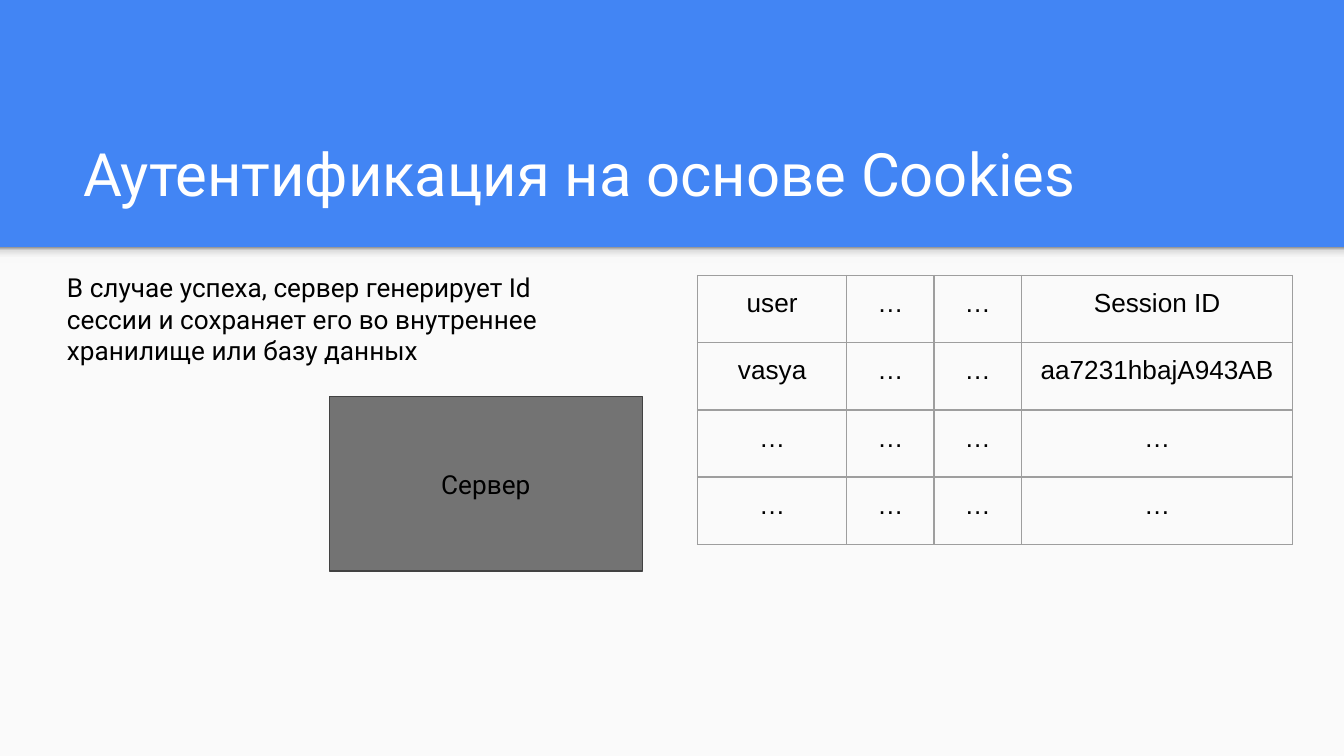
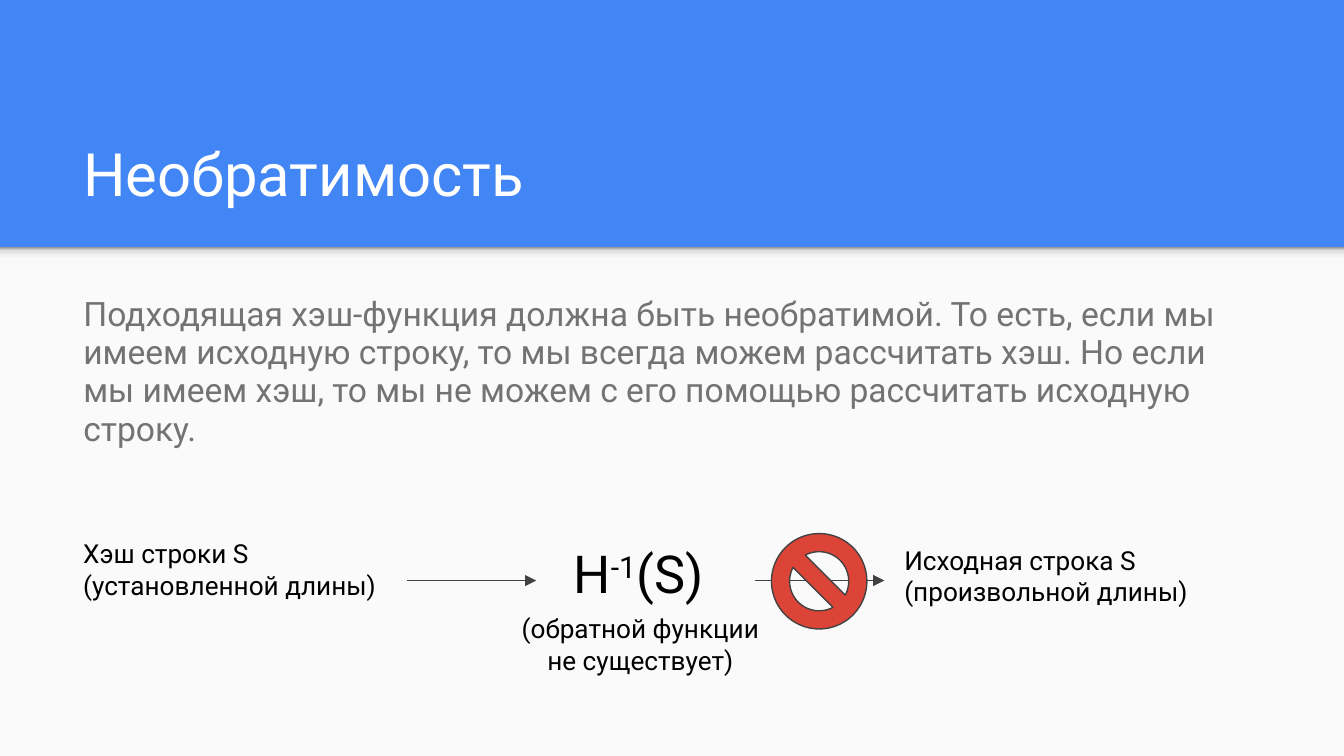
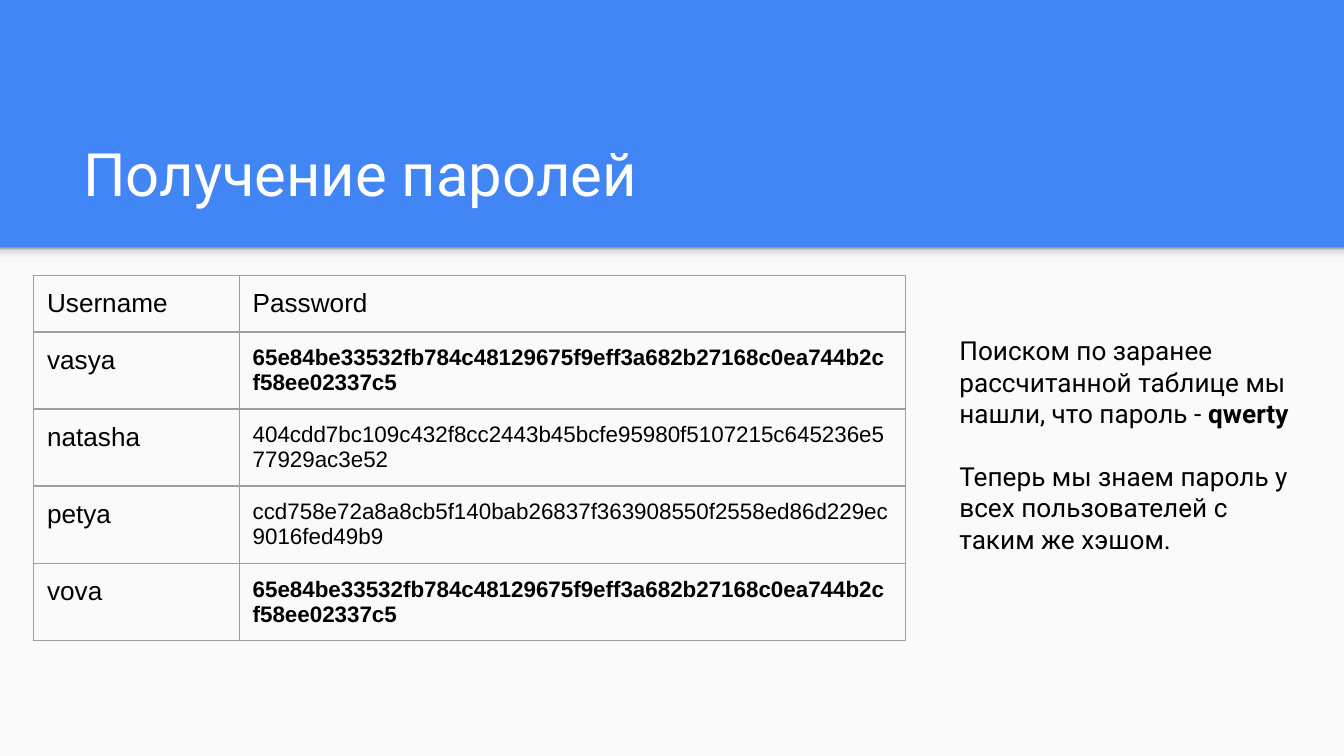
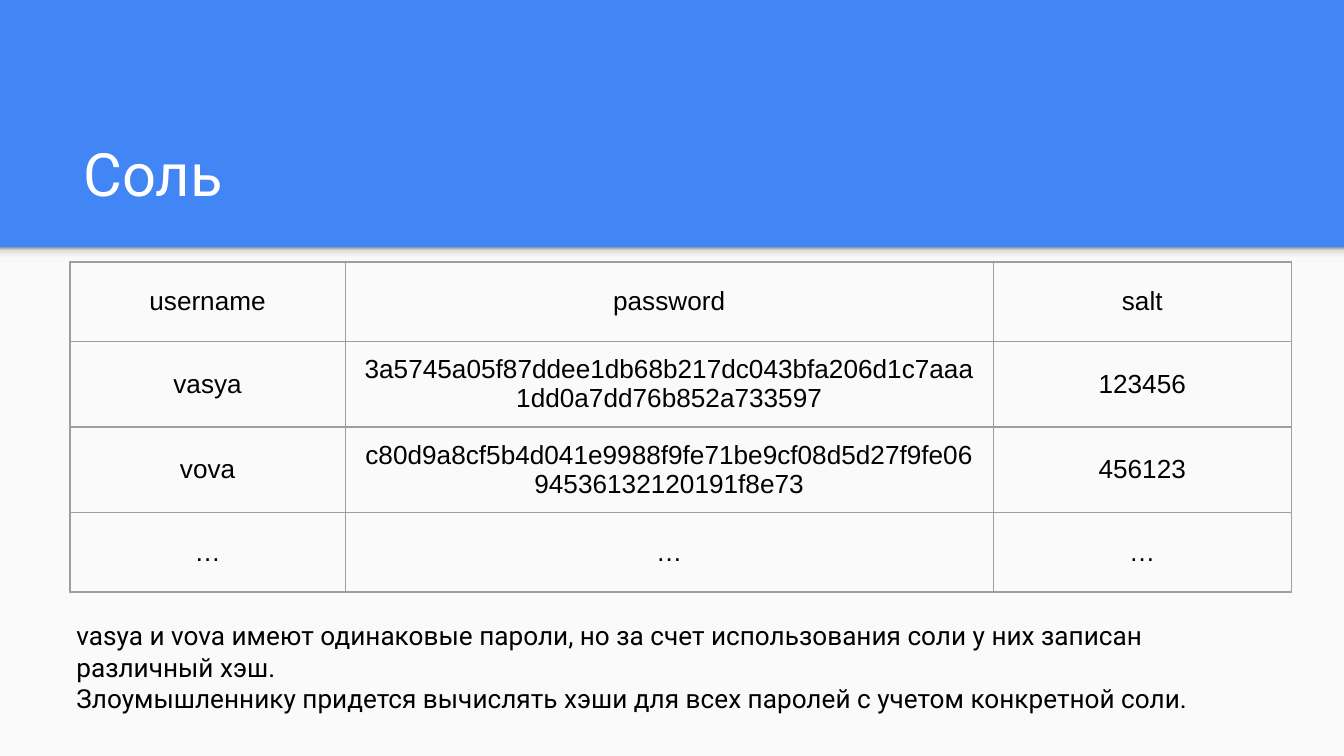
import pptx
import pptx.util
import pptx.dml.color
import pptx.enum.dml
import pptx.enum.shapes
import pptx.enum.text
import pptx.oxml
import pptx.oxml.ns
from lxml import etree

Inches, Pt = pptx.util.Inches, pptx.util.Pt
SHAPE = pptx.enum.shapes.MSO_SHAPE
ALIGN = pptx.enum.text.PP_ALIGN
ANCHOR = pptx.enum.text.MSO_ANCHOR
qn = pptx.oxml.ns.qn

COLORS = {
    "blue": "4285F4", "paper": "FAFAFA", "white": "FFFFFF", "black": "000000",
    "gray": "737373", "line": "424242", "border": "9E9E9E", "red": "DB4437",
}
BAND_SHADOW = [(0, "F9F9F9"), (36, "F9F9F9"), (80, "DEDEDE"), (100, "999999")]
SLIDE_WIDTH = 10
SLIDE_HEIGHT = SLIDE_WIDTH * 9 / 16
BAND_BOTTOM = 1.84
TITLE_BOX = (0.52, 0.81, 8.99, 0.84)

LEAKED_HASH = "65e84be33532fb784c48129675f9eff3a682b27168c0ea744b2cf58ee02337c5"

COOKIES = {
    "title": "Аутентификация на основе Cookies",
    "text": ["В случае успеха, сервер генерирует Id сессии и сохраняет его "
             "во внутреннее хранилище или базу данных"],
    "server": "Сервер",
    "rows": [
        ("user", "…", "…", "Session ID"),
        ("vasya", "…", "…", "aa7231hbajA943AB"),
        ("…", "…", "…", "…"),
        ("…", "…", "…", "…"),
    ],
}
ONE_WAY = {
    "title": "Необратимость",
    "body": "Подходящая хэш-функция должна быть необратимой. То есть, если мы имеем "
            "исходную строку, то мы всегда можем рассчитать хэш. Но если мы имеем хэш, "
            "то мы не можем с его помощью рассчитать исходную строку.",
    "hash": ["Хэш строки S", "(установленной длины)"],
    "inverse": ("H", "-1", "(S)"),
    "source": ["Исходная строка S", "(произвольной длины)"],
    "remark": ["(обратной функции", "не существует)"],
}
PASSWORDS = {
    "title": "Получение паролей",
    "rows": [
        ("Username", "Password"),
        ("vasya", LEAKED_HASH),
        ("natasha", "404cdd7bc109c432f8cc2443b45bcfe95980f5107215c645236e577929ac3e52"),
        ("petya", "ccd758e72a8a8cb5f140bab26837f363908550f2558ed86d229ec9016fed49b9"),
        ("vova", LEAKED_HASH),
    ],
    "text": ["Поиском по заранее рассчитанной таблице мы нашли, что пароль - ",
             "Теперь мы знаем пароль у всех пользователей с таким же хэшом."],
    "found": "qwerty",
}
SALT = {
    "title": "Соль",
    "rows": [
        ("username", "password", "salt"),
        ("vasya", "3a5745a05f87ddee1db68b217dc043bfa206d1c7aaa1dd0a7dd76b852a733597", "123456"),
        ("vova", "c80d9a8cf5b4d041e9988f9fe71be9cf08d5d27f9fe0694536132120191f8e73", "456123"),
        ("…", "…", "…"),
    ],
    "text": ["vasya и vova имеют одинаковые пароли, но за счет использования соли "
             "у них записан различный хэш.",
             "Злоумышленнику придется вычислять хэши для всех паролей с учетом "
             "конкретной соли."],
}


def rgb(name):
    return pptx.dml.color.RGBColor.from_string(COLORS[name])


def inches(box):
    return [Inches(v) for v in box]


def set_font(p, size=14, color="black", name="Roboto", bold=False):
    p.font.size, p.font.name, p.font.bold = Pt(size), name, bold
    p.font.color.rgb = rgb(color)


def set_frame(tf, anchor=ANCHOR.TOP):
    tf.word_wrap = True
    tf.auto_size = pptx.enum.text.MSO_AUTO_SIZE.NONE
    tf.vertical_anchor = anchor
    tf.margin_left = tf.margin_right = tf.margin_top = tf.margin_bottom = Inches(0.1)


def add_text(s, box, lines, size=14, align=ALIGN.LEFT):
    sp = s.shapes.add_textbox(*inches(box))
    tf = sp.text_frame
    set_frame(tf)
    tf.text = "\n".join(lines)
    for p in tf.paragraphs:
        p.alignment = align
        set_font(p, size)
    return sp


def add_shape(s, kind, box, fill, line=None):
    sp = s.shapes.add_shape(kind, *inches(box))
    sp.shadow.inherit = False
    sp.fill.solid()
    sp.fill.fore_color.rgb = rgb(fill)
    if line:
        sp.line.color.rgb = rgb(line)
        sp.line.width = Pt(0.75)
    else:
        sp.line.fill.background()
    return sp


def add_arrow(s, x, y, length):
    cn = s.shapes.add_connector(pptx.enum.shapes.MSO_CONNECTOR.STRAIGHT,
                                *inches((x, y, x + length, y)))
    cn.line.color.rgb = rgb("line")
    cn.line.width = Pt(0.75)
    etree.SubElement(cn.line._get_or_add_ln(), qn("a:tailEnd"), type="triangle")
    etree.SubElement(cn.element.spPr, qn("a:effectLst"))
    return cn


def set_borders(cell):
    tc_pr = cell._tc.get_or_add_tcPr()
    for side in ("lnL", "lnR", "lnT", "lnB"):
        ln = etree.SubElement(tc_pr, qn("a:" + side), w=str(Pt(0.75)))
        fill = etree.SubElement(ln, qn("a:solidFill"))
        etree.SubElement(fill, qn("a:srgbClr"), val=COLORS["border"])


def add_table(s, left, top, widths, row_height, rows, align=ALIGN.CENTER,
              anchor=ANCHOR.TOP, hash_size=14):
    box = (left, top, sum(widths), row_height * len(rows))
    table = s.shapes.add_table(len(rows), len(widths), *inches(box)).table
    table.first_row = table.horz_banding = False
    for column, width in zip(table.columns, widths):
        column.width = Inches(width)
    for r, row in enumerate(rows):
        table.rows[r].height = Inches(row_height)
        for c, text in enumerate(row):
            cell = table.cell(r, c)
            set_borders(cell)
            cell.fill.background()
            cell.margin_left = cell.margin_right = Inches(0.1)
            cell.margin_top = cell.margin_bottom = Inches(0.1)
            cell.vertical_anchor = anchor
            cell.text = text
            p = cell.text_frame.paragraphs[0]
            p.alignment = align
            set_font(p, hash_size if len(text) == 64 else 14, name="Arial",
                     bold=text == LEAKED_HASH)


def build_master(prs, s):
    """Colour the master and move the page and band shadow, drawn on s, to it."""
    master = prs.slide_master
    master.background.fill.solid()
    master.background.fill.fore_color.rgb = rgb("blue")
    page = add_shape(s, SHAPE.RECTANGLE,
                     (0, BAND_BOTTOM, SLIDE_WIDTH, SLIDE_HEIGHT - BAND_BOTTOM), "paper")
    shadow = add_shape(s, SHAPE.RECTANGLE, (0, BAND_BOTTOM, SLIDE_WIDTH, 0.12), "paper")
    shadow.fill.gradient()
    shadow.fill.gradient_angle = 90
    stops = shadow.element.spPr.find(".//" + qn("a:gsLst"))
    for stop in list(stops):
        stops.remove(stop)
    for percent, color in BAND_SHADOW:
        gs = etree.SubElement(stops, qn("a:gs"), pos=str(percent * 1000))
        etree.SubElement(gs, qn("a:srgbClr"), val=color)
    for position, sp in enumerate((page, shadow), start=2):
        master.shapes.element.insert(position, sp.element)


def add_slide(prs, title, layout="Title Only"):
    s = prs.slides.add_slide(prs.slide_layouts.get_by_name(layout))
    sp = s.shapes.title
    sp.left, sp.top, sp.width, sp.height = inches(TITLE_BOX)
    set_frame(sp.text_frame, ANCHOR.BOTTOM)
    sp.text_frame.text = title
    p = sp.text_frame.paragraphs[0]
    p.alignment = ALIGN.LEFT
    set_font(p, 32, "white")
    return s


def build_cookies(prs):
    s = add_slide(prs, COOKIES["title"])
    build_master(prs, s)
    server = add_shape(s, SHAPE.RECTANGLE, (2.45, 2.95, 2.33, 1.3), "gray", "line")
    set_frame(server.text_frame, ANCHOR.MIDDLE)
    server.text_frame.text = COOKIES["server"]
    p = server.text_frame.paragraphs[0]
    p.alignment = ALIGN.CENTER
    set_font(p)
    add_table(s, 5.19, 2.05, (1.11, 0.65, 0.65, 2.02), 0.5, COOKIES["rows"])
    add_text(s, (0.4, 1.92, 4.28, 0.81), COOKIES["text"])


def build_one_way(prs):
    s = add_slide(prs, ONE_WAY["title"], "Title and Content")
    body = s.placeholders[1]
    body.left, body.top, body.width, body.height = inches((0.52, 2.1, 8.99, 1.34))
    set_frame(body.text_frame)
    body.text_frame.text = ONE_WAY["body"]
    p = body.text_frame.paragraphs[0]
    p_pr = p._p.get_or_add_pPr()
    p_pr.set("marL", "0")
    p_pr.set("indent", "0")
    etree.SubElement(p_pr, qn("a:buNone"))
    p.line_spacing, p.space_before, p.space_after = 0.95, Pt(0), Pt(12)
    set_font(p, 18, "gray")

    hash_box = add_text(s, (0.52, 3.9, 2.51, 0.84), ONE_WAY["hash"])
    inverse = add_text(s, (4.17, 3.93, 1.44, 0.71), [], size=28)
    p = inverse.text_frame.paragraphs[0]
    for text in ONE_WAY["inverse"]:
        p.add_run().text = text
    p.runs[1].font._element.set("baseline", "30000")
    add_text(s, (6.63, 3.95, 2.51, 0.84), ONE_WAY["source"])
    add_arrow(s, 3.03, 4.32, 0.96).begin_connect(hash_box, 3)
    add_arrow(s, 5.62, 4.32, 0.96)
    add_text(s, (3.61, 4.46, 2.31, 0.61), ONE_WAY["remark"], align=ALIGN.CENTER)
    ban = add_shape(s, SHAPE.NO_SYMBOL, (5.74, 3.97, 0.71, 0.71), "red", "line")
    ban.adjustments[0] = 0.19


def build_passwords(prs):
    s = add_slide(prs, PASSWORDS["title"])
    add_table(s, 0.25, 2.05, (1.53, 4.96), 0.42, PASSWORDS["rows"],
              align=ALIGN.LEFT, hash_size=12)
    sp = add_text(s, (7.04, 2.39, 2.66, 2.57), PASSWORDS["text"])
    finding, conclusion = sp.text_frame.paragraphs
    r = finding.add_run()
    r.text = PASSWORDS["found"]
    r.font.bold = True
    conclusion.space_before = Pt(16.8)


def build_salt(prs):
    s = add_slide(prs, SALT["title"])
    add_table(s, 0.52, 1.95, (2.05, 4.82, 2.22), 0.59, SALT["rows"], anchor=ANCHOR.MIDDLE)
    add_text(s, (0.47, 4.51, 8.91, 0.88), SALT["text"])


def main():
    prs = pptx.Presentation()
    prs.slide_width, prs.slide_height = inches((SLIDE_WIDTH, SLIDE_HEIGHT))
    for build in (build_cookies, build_one_way, build_passwords, build_salt):
        build(prs)
    prs.save("out.pptx")


if __name__ == "__main__":
    main()
